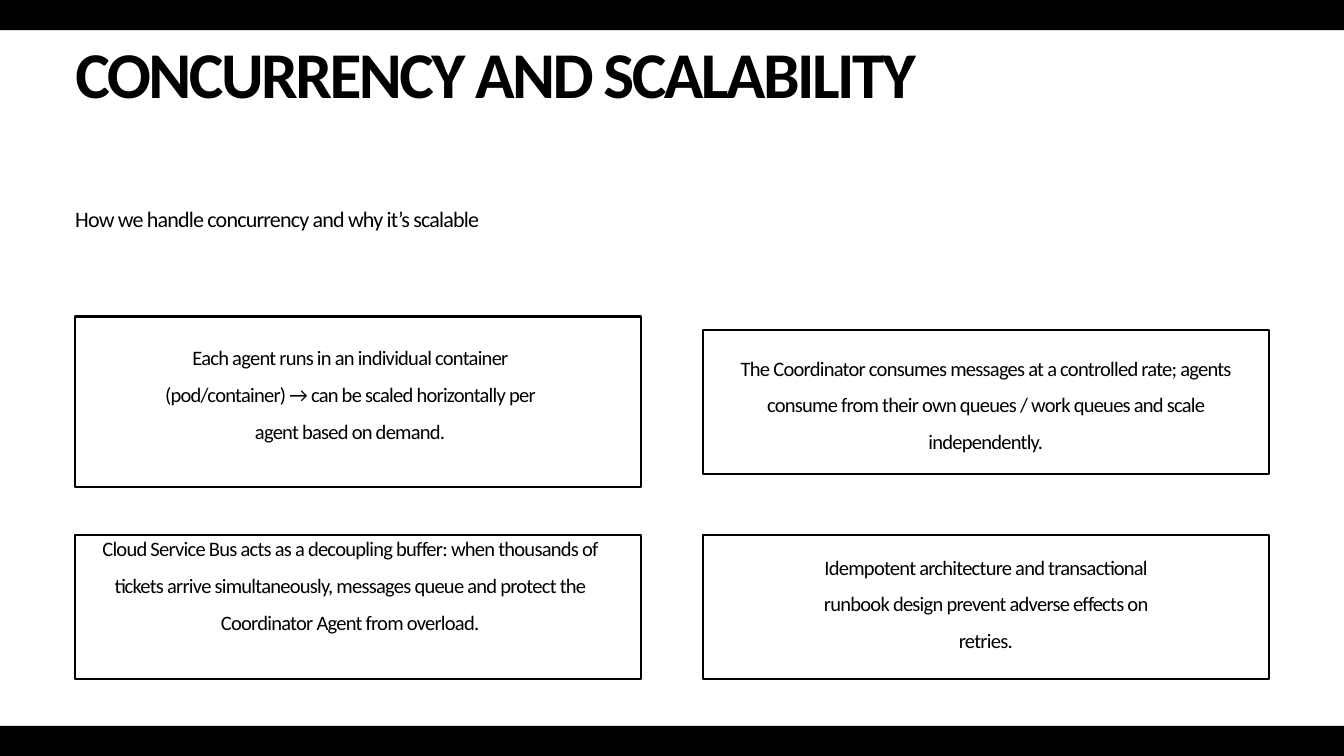
from dataclasses import dataclass

from pptx import Presentation
from pptx.dml.color import RGBColor
from pptx.enum.shapes import MSO_SHAPE
from pptx.enum.text import PP_ALIGN
from pptx.util import Inches, Pt


@dataclass(frozen=True)
class Theme:
    ink: RGBColor = RGBColor(0, 0, 0)
    paper: RGBColor = RGBColor(255, 255, 255)
    font: str = "Calibri"
    title_size: float = 70
    subtitle_size: float = 23.6
    body_size: float = 22
    body_leading: float = 39.5
    outline: float = 2.25


@dataclass(frozen=True)
class Card:
    column: int
    top: float
    height: float
    text_top: float
    text_width: float
    text: str


THEME = Theme()
SLIDE_WIDTH, SLIDE_HEIGHT = 20, 11.25
BAR_HEIGHT = 0.45
MARGIN, GUTTER = 1.12, 0.92
CONTENT_WIDTH = SLIDE_WIDTH - 2 * MARGIN
COLUMN_WIDTH = (CONTENT_WIDTH - GUTTER) / 2
COLUMN_LEFTS = [MARGIN + column * (COLUMN_WIDTH + GUTTER) for column in range(2)]
# The text axis of the left column sits slightly left of the card's middle.
TEXT_CENTRES = [COLUMN_LEFTS[0] + COLUMN_WIDTH / 2 - 0.12,
                COLUMN_LEFTS[1] + COLUMN_WIDTH / 2]
LOWER_TOP, CARD_HEIGHT = 7.96, 2.15

CARDS = [
    Card(0, 4.71, 2.54, 4.95, 5.99,
         "Each agent runs in an individual container (pod/container) → "
         "can be scaled horizontally per agent based on demand."),
    Card(1, 4.91, CARD_HEIGHT, 5.11, 7.93,
         "The Coordinator consumes messages at a controlled rate; agents consume "
         "from their own queues / work queues and scale independently."),
    Card(0, LOWER_TOP, CARD_HEIGHT, 7.8, 7.43,
         "Cloud Service Bus acts as a decoupling buffer: when thousands of tickets "
         "arrive simultaneously, messages queue and protect the Coordinator Agent "
         "from overload."),
    Card(1, LOWER_TOP, CARD_HEIGHT, 8.07, 5.2,
         "Idempotent architecture and transactional runbook design prevent "
         "adverse effects on retries."),
]


def add_text(slide, text, left, top, width, height, *, size=THEME.body_size,
             leading=THEME.body_leading, tracking=-0.8, bold=False,
             align=PP_ALIGN.LEFT):
    """Add a text box without insets; leading and tracking are in points."""
    box = slide.shapes.add_textbox(Inches(left), Inches(top),
                                   Inches(width), Inches(height))
    frame = box.text_frame
    frame.word_wrap = True
    frame.margin_left = frame.margin_right = 0
    frame.margin_top = frame.margin_bottom = 0
    paragraph = frame.paragraphs[0]
    paragraph.alignment = align
    paragraph.line_spacing = Pt(leading)
    run = paragraph.add_run()
    run.text = text
    run.font.name = THEME.font
    run.font.size = Pt(size)
    run.font.bold = bold
    run.font.color.rgb = THEME.ink
    run._r.get_or_add_rPr().set("spc", str(round(tracking * 100)))


def add_rectangle(slide, left, top, width, height):
    shape = slide.shapes.add_shape(MSO_SHAPE.RECTANGLE, Inches(left), Inches(top),
                                   Inches(width), Inches(height))
    shape.shadow.inherit = False
    return shape


def add_bar(slide, top):
    bar = add_rectangle(slide, 0, top, SLIDE_WIDTH, BAR_HEIGHT)
    bar.fill.solid()
    bar.fill.fore_color.rgb = THEME.ink
    bar.line.fill.background()


def add_card(slide, card):
    frame = add_rectangle(slide, COLUMN_LEFTS[card.column], card.top,
                          COLUMN_WIDTH, card.height)
    frame.fill.background()
    frame.line.color.rgb = THEME.ink
    frame.line.width = Pt(THEME.outline)
    add_text(slide, card.text, TEXT_CENTRES[card.column] - card.text_width / 2,
             card.text_top, card.text_width, 3 * THEME.body_leading / 72,
             align=PP_ALIGN.CENTER)


def main():
    presentation = Presentation()
    presentation.slide_width = Inches(SLIDE_WIDTH)
    presentation.slide_height = Inches(SLIDE_HEIGHT)
    slide = presentation.slides.add_slide(presentation.slide_layouts[6])
    slide.background.fill.solid()
    slide.background.fill.fore_color.rgb = THEME.paper

    for top in (0, SLIDE_HEIGHT - BAR_HEIGHT):
        add_bar(slide, top)
    add_text(slide, "CONCURRENCY AND SCALABILITY", MARGIN, 0.56, 15.61, 2.26,
             size=THEME.title_size, leading=79.1, tracking=-2.7, bold=True)
    add_text(slide, "How we handle concurrency and why it’s scalable",
             MARGIN, 2.86, CONTENT_WIDTH, 0.55,
             size=THEME.subtitle_size, leading=42.5, tracking=-0.9)
    for card in CARDS:
        add_card(slide, card)
    presentation.save("out.pptx")


if __name__ == "__main__":
    main()
